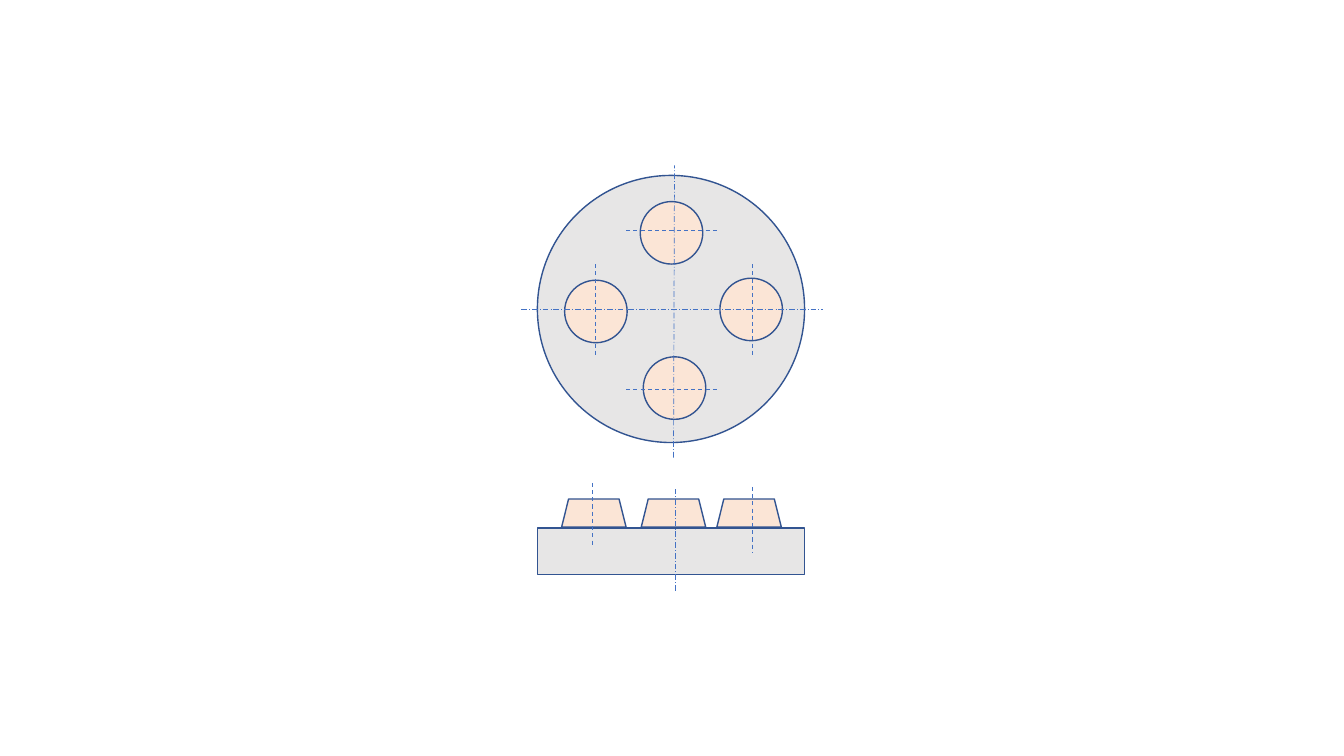
from lxml.etree import SubElement
from pptx import Presentation
from pptx.dml.color import RGBColor
from pptx.enum.dml import MSO_LINE as DASH
from pptx.enum.shapes import MSO_CONNECTOR as CONN, MSO_SHAPE as SHAPE
from pptx.oxml.ns import qn
from pptx.util import Inches, Pt

PLATE = RGBColor(0xE7, 0xE6, 0xE6)
STUD = RGBColor(0xFB, 0xE5, 0xD6)
OUTLINE = RGBColor(0x32, 0x54, 0x91)
AXIS = RGBColor(0x44, 0x72, 0xC4)

CELL = 0.1
PLATE_LEFT, PLATE_WIDTH = 53.3, 26.5
STUD_SIZE = 6.2
STUD_WIDTH, STUD_HEIGHT = 6.4, 2.8


class Drawing:
    def __init__(self, prs):
        slide = prs.slides.add_slide(prs.slide_layouts[6])
        self.shapes = slide.shapes.add_group_shape().shapes

    def grid(self, *cells):
        return [Inches(n * CELL) for n in cells]

    def shape(self, kind, col, row, cols, rows, fill):
        sp = self.shapes.add_shape(kind, *self.grid(col, row, cols, rows))
        sp.shadow.inherit = False
        sp.fill.solid()
        sp.fill.fore_color.rgb = fill
        sp.line.color.rgb = OUTLINE
        sp.line.width = Pt(1)

    def line(self, start, end, width, dash):
        cxn = self.shapes.add_connector(CONN.STRAIGHT, *self.grid(*start, *end))
        cxn.line.color.rgb = AXIS
        cxn.line.width = Pt(width)
        cxn.line.dash_style = dash
        SubElement(cxn.element.spPr, qn("a:effectLst"))

    def main_axis(self, start, end):
        self.line(start, end, 0.5, DASH.LONG_DASH_DOT)

    def stud_axis(self, start, end):
        self.line(start, end, 0.75, DASH.DASH)


def draw_top_view(d):
    d.shape(SHAPE.OVAL, PLATE_LEFT, 17.4, PLATE_WIDTH, PLATE_WIDTH, PLATE)
    for col, row in ((63.5, 20), (71.4, 27.6), (56, 27.8), (63.8, 35.4)):
        d.shape(SHAPE.OVAL, col, row, STUD_SIZE, STUD_SIZE, STUD)
    d.main_axis((51.7, 30.7), (81.6, 30.7))
    d.main_axis((66.8, 45.4), (66.9, 16.4))
    for row in (22.9, 38.6):
        d.stud_axis((62.1, row), (71.1, row))
    for col in (59.1, 74.6):
        d.stud_axis((col, 26.2), (col, 35.4))


def draw_side_view(d):
    d.shape(SHAPE.RECTANGLE, PLATE_LEFT, 52.4, PLATE_WIDTH, 4.6, PLATE)
    for col in (55.7, 71.1, 63.6):
        d.shape(SHAPE.TRAPEZOID, col, 49.5, STUD_WIDTH, STUD_HEIGHT, STUD)
    d.main_axis((67, 58.6), (67, 48.3))
    for col, top, bottom in ((58.8, 47.9, 54.3), (74.6, 48.3, 54.8)):
        d.stud_axis((col, top), (col, bottom))


def main():
    prs = Presentation()
    prs.slide_width, prs.slide_height = Inches(13.33), Inches(7.5)
    d = Drawing(prs)
    draw_top_view(d)
    draw_side_view(d)
    prs.save("out.pptx")


if __name__ == "__main__":
    main()
